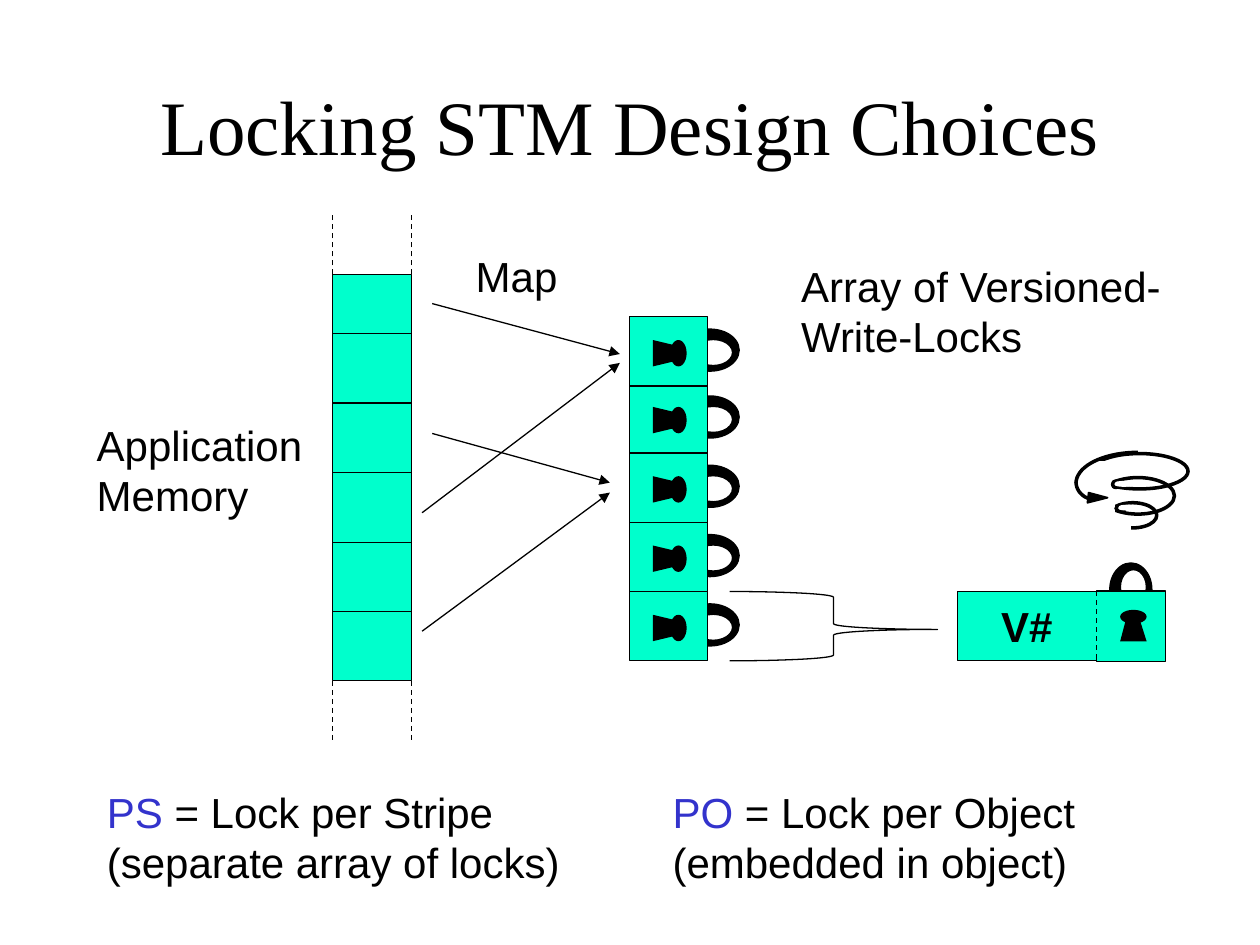
"""Build the slide on design choices for locking STM."""
import math
from lxml import etree
from pptx import Presentation
from pptx import util as u
from pptx.dml.color import RGBColor
from pptx.enum import dml, shapes, text
from pptx.oxml import ns

Pt = u.Pt
BLACK = RGBColor(0x00, 0x00, 0x00)
WHITE = RGBColor(0xFF, 0xFF, 0xFF)
MINT = RGBColor(0x00, 0xFF, 0xCC)
BLUE = RGBColor(0x33, 0x33, 0xCC)
RECT = shapes.MSO_SHAPE.RECTANGLE
OVAL = shapes.MSO_SHAPE.OVAL

deck = Presentation()
deck.slide_width, deck.slide_height = Pt(720), Pt(540)
slide = deck.slides.add_slide(deck.slide_layouts[6])
canvas = slide.shapes


def paint(item, fill=None, line=None, weight=0.75):
    item.shadow.inherit = False
    if fill is None:
        item.fill.background()
    else:
        item.fill.solid()
        item.fill.fore_color.rgb = fill
    if line is None:
        item.line.fill.background()
    else:
        item.line.color.rgb = line
        item.line.width = Pt(weight)
    return item


def draw_line(x1, y1, x2, y2, dashed=False, arrow=False):
    stroke = canvas.add_connector(
        shapes.MSO_CONNECTOR.STRAIGHT, Pt(x1), Pt(y1), Pt(x2), Pt(y2))
    stroke.line.color.rgb = BLACK
    stroke.line.width = Pt(0.75)
    if dashed:
        stroke.line.dash_style = dml.MSO_LINE.DASH
    properties = stroke._element.spPr
    if arrow:
        etree.SubElement(properties.find(ns.qn("a:ln")), ns.qn("a:tailEnd"), type="triangle")
    etree.SubElement(properties, ns.qn("a:effectLst"))


captions = [
    ("Locking STM Design Choices", 54, 26, 612, 90, 7.2, True),
    ("PS = Lock per Stripe (separate array of locks)", 54, 445.7, 278, 64.8, 7.2, True),
    ("PO = Lock per Object\n(embedded in object)", 377.3, 445.7, 244.8, 64.8, 7.2, False),
    ("Map", 257.8, 139.7, 74, 36, 14, True),
    ("Array of Versioned-\nWrite-Locks", 450.7, 145.4, 238.3, 64.8, 7.2, True),
    ("Application\vMemory", 48.2, 236.2, 278, 64.8, 7.2, True),
]
for wording, left, top, width, height, inset, wraps in captions:
    frame = canvas.add_textbox(Pt(left), Pt(top), Pt(width), Pt(height)).text_frame
    frame.word_wrap = wraps
    frame.margin_left = Pt(inset)
    is_title = wording.startswith("Locking")
    if is_title:
        frame.vertical_anchor = text.MSO_ANCHOR.MIDDLE
    frame.text = wording
    for paragraph in frame.paragraphs:
        if is_title:
            paragraph.alignment = text.PP_ALIGN.CENTER
        if paragraph.text[:2] in ("PS", "PO"):
            term, rest = paragraph.text[:2], paragraph.text[2:]
            paragraph.runs[0].text = term
            paragraph.add_run().text = rest
        for run in paragraph.runs:
            run.font.name = "Times New Roman" if is_title else "Arial"
            run.font.size = Pt(44 if is_title else 24)
            run.font.color.rgb = BLUE if run.text in ("PS", "PO") else BLACK

memory_left, memory_right, memory_top, memory_bottom = 190, 235.2, 156.8, 389
paint(canvas.add_shape(RECT, Pt(memory_left), Pt(memory_top), Pt(memory_right - memory_left),
                       Pt(memory_bottom - memory_top)), MINT, BLACK)
for row in range(5):
    divider_y = 190.6 + row * 39.75
    draw_line(memory_left, divider_y, memory_right, divider_y)
for rail_x in (memory_left, memory_right):
    draw_line(rail_x, memory_top, rail_x, memory_top - 34.4, dashed=True)
    draw_line(rail_x, memory_bottom, rail_x, memory_bottom + 34.4, dashed=True)

for mapping in [(241.2, 293, 354.2, 207.4), (247, 173.5, 354.2, 202.3),
                (241.2, 360.7, 348.5, 281.5), (247, 247.7, 348.5, 275.8)]:
    draw_line(*mapping, arrow=True)

brace = paint(canvas.add_shape(shapes.MSO_SHAPE.RIGHT_BRACE, Pt(416.9), Pt(338),
                               Pt(118.8), Pt(39.6)), None, BLACK)
brace.adjustments[0], brace.adjustments[1] = 0.083, 0.547

version = paint(canvas.add_shape(RECT, Pt(547.2), Pt(338), Pt(113.8), Pt(39.6)), MINT, BLACK)
version_frame = version.text_frame
version_frame.word_wrap = False
version_frame.margin_right = Pt(41.8)
version_frame.vertical_anchor = text.MSO_ANCHOR.MIDDLE
version_frame.text = "V#"
version_frame.paragraphs[0].alignment = text.PP_ALIGN.CENTER
version_font = version_frame.paragraphs[0].runs[0].font
version_font.name, version_font.size, version_font.bold = "Arial", Pt(24), True
version_font.color.rgb = BLACK

parts = [
    (OVAL, 634.3, 321.8, 23.8, 30.2, BLACK, BLACK, 1),
    (OVAL, 640.1, 325.4, 15.1, 20.2, WHITE, BLACK, 1),
    (RECT, 626.4, 337.7, 39.6, 40.3, MINT, BLACK, 0.75),
    (OVAL, 640.1, 348.5, 15.1, 7.9, BLACK, None, 0),
    (RECT, 624.2, 339.1, 11.5, 37.4, MINT, None, 0),
    (OVAL, 633.6, 287.3, 27.4, 14.4, None, BLACK, 2),
    (OVAL, 629.3, 272.9, 41.8, 20.9, None, BLACK, 2),
    (OVAL, 623.5, 259.2, 55.4, 20.2, None, BLACK, 2),
]
spiral_gaps = [(614.9, 279.4), (624.2, 285.1), (624.2, 291.6), (632.9, 298.1),
               (623.5, 280.8), (622.1, 274.3), (620.6, 270.7), (620.6, 264.2)]
parts += [(RECT, left, top, 12.2, 5, WHITE, WHITE, 2) for left, top in spiral_gaps]
parts += [
    (OVAL, 637.9, 288.7, 5, 3.6, WHITE, BLACK, 2),
    (OVAL, 640.1, 289.4, 8.6, 1.4, WHITE, WHITE, 2),
    (OVAL, 635.8, 275, 3.6, 3.6, WHITE, BLACK, 2),
    (OVAL, 637.9, 275.8, 8.6, 1.4, WHITE, WHITE, 2),
]

lock_middles = [200.8, 239, 278.6, 318.2, 357.8]
for middle in reversed(lock_middles):
    parts += [
        (OVAL, 389.2, middle - 12.6, 33.1, 23.8, BLACK, BLACK, 1),
        (OVAL, 396.4, middle - 6.9, 22.3, 15.1, WHITE, BLACK, 1),
        (RECT, 359.9, middle - 19.8, 44.6, 39.6, MINT, BLACK, 0.75),
        (OVAL, 383, middle - 6.5, 9.4, 15.1, BLACK, None, 0),
    ]
for preset, left, top, width, height, fill, line, weight in parts:
    paint(canvas.add_shape(preset, Pt(left), Pt(top), Pt(width), Pt(height)), fill, line, weight)

draw_line(626.4, 337.7, 626.4, 378, dashed=True)

outlines = [
    ([(640.1, 366.5), (643.7, 352.8), (650.9, 352.8), (655.2, 366.5)], True, BLACK, None, 0),
    ([(622.1, 281.5), (632.9, 284.4), (621.4, 287.3)], True, BLACK, BLACK, 1),
]
for middle in lock_middles:
    outlines.append(([(373, middle - 6.5), (388.1, middle - 2.9), (388.1, middle + 5),
                      (373, middle + 8.6)], True, BLACK, None, 0))
for center_x, center_y, radius_x, radius_y, start in [(625.7, 275.4, 10.8, 10.1, 90),
                                                      (650.2, 276.1, 35.3, 17.6, 180)]:
    angles = [math.radians(start + step) for step in range(0, 91, 5)]
    sweep = [(center_x + radius_x * math.cos(angle), center_y + radius_y * math.sin(angle))
             for angle in angles]
    outlines.append((sweep, False, None, BLACK, 2))
for points, closed, fill, line, weight in outlines:
    corners = [(Pt(x), Pt(y)) for x, y in points]
    builder = canvas.build_freeform(*corners[0])
    builder.add_line_segments(corners[1:], close=closed)
    paint(builder.convert_to_shape(), fill, line, weight)

deck.save("out.pptx")
